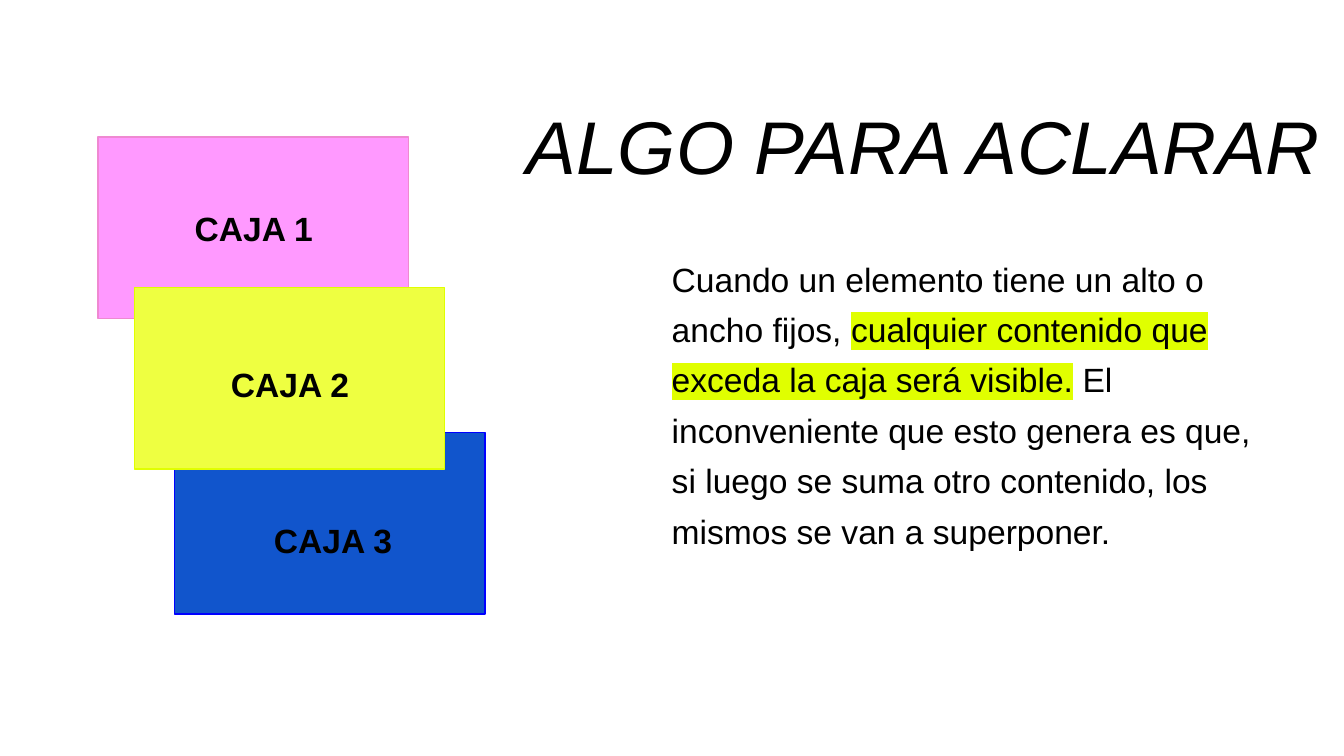
from lxml import etree
from pptx import Presentation
from pptx.dml.color import RGBColor
from pptx.enum.shapes import MSO_SHAPE
from pptx.enum.text import PP_ALIGN
from pptx.oxml.ns import qn
from pptx.util import Inches, Pt

RECTANGLE = MSO_SHAPE.RECTANGLE
LEFT, CENTER = PP_ALIGN.LEFT, PP_ALIGN.CENTER
BLACK = "000000"
LIME = "E0FF00"
BOX_SIZE = (2.31, 1.35)
LABEL_SIZE = (1.3, 0.65)

# Left, top, fill, outline and opacity, from back to front
BOXES = [
    (0.73, 1.02, "FF00FF", "EF89D2", 40),
    (1.3, 3.22, "1155CC", "0000FF", 100),
    (1, 2.14, "EEFF41", LIME, 100),
]
LABELS = [("CAJA 1", 1.35, 1.37), ("CAJA 3", 1.94, 3.69), ("CAJA 2", 1.62, 2.53)]
EXPLANATION = [
    ("Cuando un elemento tiene un alto o ancho fijos, ", None),
    ("cualquier contenido que exceda la caja será visible.", LIME),
    (" El inconveniente que esto genera es que, si luego se suma otro contenido, "
     "los mismos se van a superponer.", None),
]


def paint(color_format, hex_color):
    color_format.rgb = RGBColor.from_string(hex_color)


def highlight(run, hex_color):
    """Mark a run whose font colour is already set."""
    marker = etree.Element(qn("a:highlight"))
    etree.SubElement(marker, qn("a:srgbClr"), val=hex_color)
    run.font._element.find(qn("a:solidFill")).addnext(marker)


def add_text(slide, position, size, runs, *, points=18, bold=False, italic=False,
             align=LEFT, spacing=1.25):
    """Add one paragraph from (text, highlight colour or None) pairs."""
    box = slide.shapes.add_textbox(*map(Inches, position + size))
    frame = box.text_frame
    frame.word_wrap = True
    frame.margin_left = frame.margin_right = Inches(0.1)
    frame.margin_top = frame.margin_bottom = Inches(0.1)
    paragraph = frame.paragraphs[0]
    paragraph.alignment = align
    paragraph.line_spacing = spacing
    for text, marker_color in runs:
        run = paragraph.add_run()
        run.text = text
        run.font.name = "Arial"
        run.font.size = Pt(points)
        run.font.bold = bold
        run.font.italic = italic
        paint(run.font.color, BLACK)
        if marker_color:
            highlight(run, marker_color)


def add_box(slide, position, fill, outline, opacity):
    box = slide.shapes.add_shape(RECTANGLE, *map(Inches, position + BOX_SIZE))
    box.shadow.inherit = False
    box.fill.solid()
    paint(box.fill.fore_color, fill)
    if opacity < 100:
        color = box._element.spPr.find(qn("a:solidFill"))[0]
        etree.SubElement(color, qn("a:alpha"), val=str(opacity * 1000))
    paint(box.line.color, outline)
    box.line.width = Pt(0.75)


def main():
    presentation = Presentation()
    presentation.slide_width = Inches(10)
    presentation.slide_height = presentation.slide_width * 9 // 16
    slide = presentation.slides.add_slide(presentation.slide_layouts[6])

    add_text(slide, (3.46, 0.31), (6.82, 0.76), [("ALGO PARA ACLARAR", None)],
             points=40, italic=True, align=CENTER, spacing=1.5)
    add_text(slide, (4.9, 1.75), (4.57, 2.44), EXPLANATION)
    for left, top, fill, outline, opacity in BOXES:
        add_box(slide, (left, top), fill, outline, opacity)
    for label, left, top in LABELS:
        add_text(slide, (left, top), LABEL_SIZE, [(label, None)], bold=True)

    presentation.save("out.pptx")


if __name__ == "__main__":
    main()
